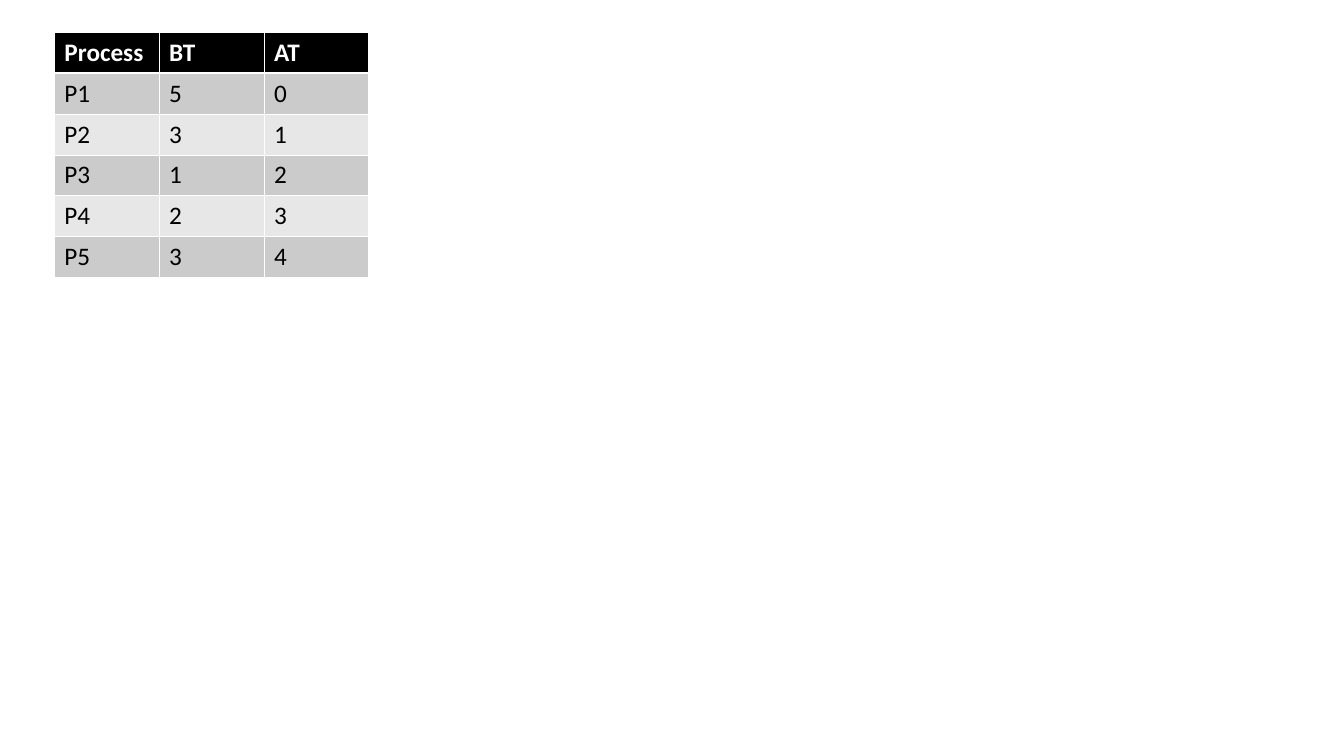
from dataclasses import dataclass

from lxml import etree
from pptx import Presentation
from pptx.dml.color import RGBColor
from pptx.oxml.ns import qn
from pptx.util import Inches, Pt

BLANK_LAYOUT = 6


@dataclass(frozen=True)
class Theme:
    font: str = "Calibri"
    size: float = 18
    header_fill: str = "000000"
    header_text: str = "FFFFFF"
    band_fills: tuple = ("CBCBCB", "E7E7E7")
    body_text: str = "000000"
    border: str = "FFFFFF"
    border_width: float = 0.45
    header_rule: float = 1.47


class SlideBuilder:
    def __init__(self, prs, theme):
        self.theme = theme
        self.slide = prs.slides.add_slide(prs.slide_layouts[BLANK_LAYOUT])

    def borders(self, cell, widths):
        tc_pr = cell._tc.get_or_add_tcPr()
        for i, (side, width) in enumerate(widths.items()):
            ln = etree.Element(qn(f"a:ln{side}"), w=str(int(Pt(width))))
            fill = etree.SubElement(ln, qn("a:solidFill"))
            etree.SubElement(fill, qn("a:srgbClr"), val=self.theme.border)
            tc_pr.insert(i, ln)

    def cell(self, cell, text, row):
        t = self.theme
        header = row == 0
        fill = t.header_fill if header else t.band_fills[(row - 1) % 2]
        color = t.header_text if header else t.body_text
        cell.fill.solid()
        cell.fill.fore_color.rgb = RGBColor.from_string(fill)
        widths = dict.fromkeys("LRTB", t.border_width)
        if row < 2:
            widths["B" if header else "T"] = t.header_rule
        self.borders(cell, widths)
        r = cell.text_frame.paragraphs[0].add_run()
        r.text = text
        style = {"name": t.font, "size": Pt(t.size), "bold": header}
        for name, value in style.items():
            setattr(r.font, name, value)
        r.font.color.rgb = RGBColor.from_string(color)

    def table(self, rows, left, top, col_width, row_height):
        n_rows, n_cols = len(rows), len(rows[0])
        table = self.slide.shapes.add_table(
            n_rows, n_cols, Inches(left), Inches(top),
            Inches(col_width * n_cols), Inches(row_height * n_rows)).table
        for i, values in enumerate(rows):
            for j, text in enumerate(values):
                self.cell(table.cell(i, j), text, i)


def main():
    prs = Presentation()
    prs.slide_width = Inches(13.34)
    prs.slide_height = Inches(7.5)
    s = SlideBuilder(prs, Theme())
    processes = [
        ("Process", "BT", "AT"),
        ("P1", "5", "0"),
        ("P2", "3", "1"),
        ("P3", "1", "2"),
        ("P4", "2", "3"),
        ("P5", "3", "4"),
    ]
    s.table(processes, left=0.54, top=0.32, col_width=1.04, row_height=0.4)
    prs.save("out.pptx")


if __name__ == "__main__":
    main()
